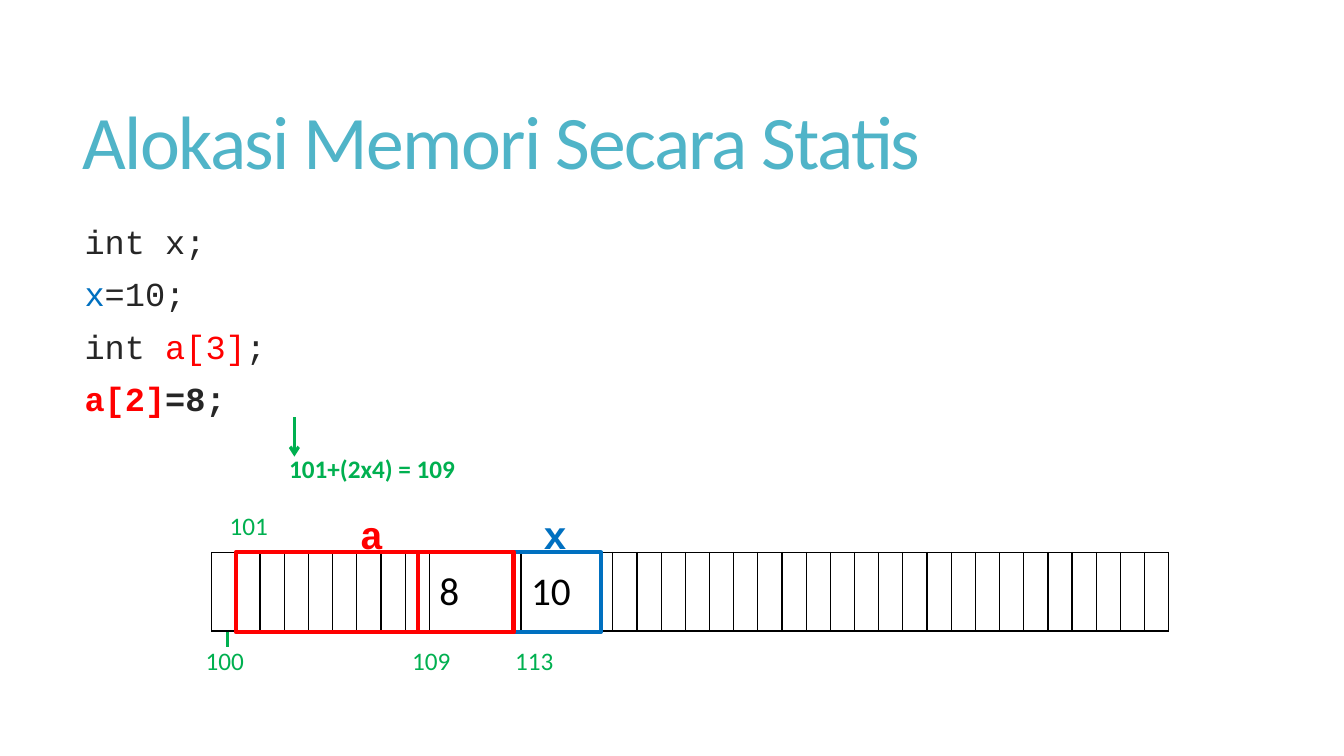
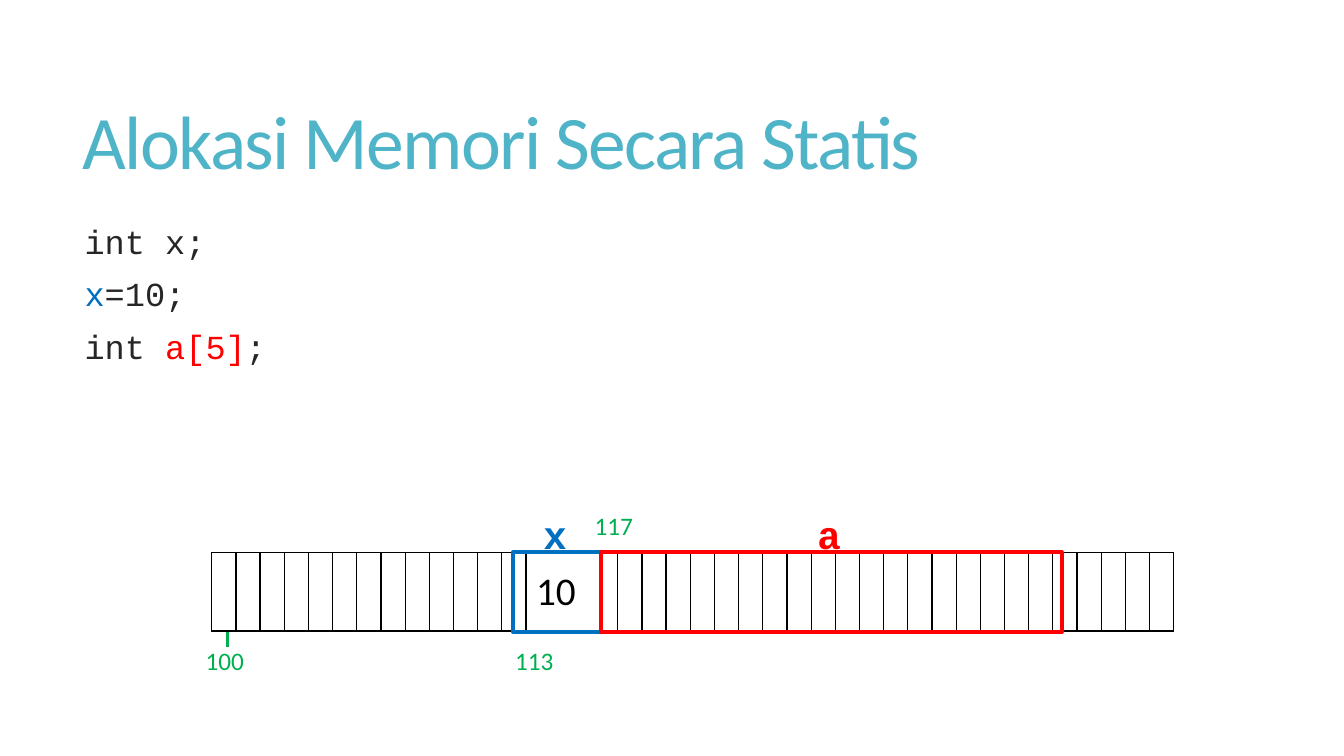
from pptx import Presentation
from pptx.dml.color import RGBColor
from pptx.enum.shapes import MSO_CONNECTOR as Connector, MSO_SHAPE as Shape
from pptx.enum.text import MSO_ANCHOR as Anchor, MSO_AUTO_SIZE as AutoSize, PP_ALIGN as Align
from pptx.oxml import parse_xml
from pptx.oxml.ns import nsdecls
from pptx.util import Inches, Pt

color = RGBColor.from_string
TEAL, DARK, BLACK = "50B4C8", "262626", "000000"
RED, BLUE, GREEN = "FF0000", "0070C0", "00B050"
TITLE = "Alokasi Memori Secara Statis"
CELL, VALUE_CELL = 0.24, 0.91
ROW_TOP, ROW_HEIGHT = 5.48, 0.78
LABEL_TOP, ADDRESS_TOP = 5.01, 6.35


def write_text(frame, lines, size, font="Calibri", bold=False, anchor=Anchor.TOP,
               wrap=False, spacing=None, before=None):
    """Each line is a list of (text, colour) runs."""
    frame.word_wrap = wrap
    frame.auto_size = AutoSize.NONE if wrap else AutoSize.SHAPE_TO_FIT_TEXT
    frame.vertical_anchor = anchor
    for number, runs in enumerate(lines):
        paragraph = frame.add_paragraph() if number else frame.paragraphs[0]
        paragraph.alignment = Align.LEFT
        if spacing:
            paragraph.line_spacing = spacing
        if before:
            paragraph.space_before = Pt(before)
        for text, text_color in runs:
            run = paragraph.add_run()
            run.text = text
            run.font.name, run.font.size, run.font.bold = font, Pt(size), bold
            run.font.color.rgb = color(text_color)


def add_line(slide, x, top, bottom, arrow=False):
    line = slide.shapes.add_connector(
        Connector.STRAIGHT, Inches(x), Inches(top), Inches(x), Inches(bottom))
    line.line.color.rgb = color(GREEN)
    line.line.width = Pt(2.25)
    if arrow:
        line.line._get_or_add_ln().append(
            parse_xml(f'<a:tailEnd {nsdecls("a")} type="arrow"/>'))
    line._element.spPr.append(parse_xml(f'<a:effectLst {nsdecls("a")}/>'))


# What differs between the slides
declaration = [[("int x;", DARK)], [("x", BLUE), ("=10;", DARK)]]
slides = [
    dict(code=declaration + [[("int ", DARK), ("a[3]", RED), (";", DARK)]],
         assignment=[("a[2]", RED), ("=8;", DARK)],
         columns=34, values={9: "8", 10: "10"},
         blocks=[(5.09, 0.87, BLUE), (2.34, 2.76, RED), (4.15, 0.94, RED)],
         names=[("x", 5.29, BLUE), ("a", 3.47, RED)],
         addresses=[("100", 1.94, ADDRESS_TOP), ("113", 5.01, ADDRESS_TOP),
                    ("101", 2.18, LABEL_TOP), ("109", 3.99, ADDRESS_TOP)]),
    dict(code=declaration + [[("int ", DARK), ("a[5]", RED), (";", DARK)]],
         assignment=None,
         columns=37, values={13: "10"},
         blocks=[(5.09, 0.87, BLUE), (5.96, 4.57, RED)],
         names=[("x", 5.29, BLUE), ("a", 8.01, RED)],
         addresses=[("100", 1.94, ADDRESS_TOP), ("113", 5.01, ADDRESS_TOP),
                    ("117", 5.8, LABEL_TOP)]),
]

presentation = Presentation()
presentation.slide_width, presentation.slide_height = Inches(13.33), Inches(7.5)

for content in slides:
    slide = presentation.slides.add_slide(presentation.slide_layouts[5])
    shapes = slide.shapes

    # Title
    title = shapes.title
    title.left, title.top = Inches(0.72), Inches(0.55)
    title.width, title.height = Inches(11.78), Inches(1.81)
    write_text(title.text_frame, [[(TITLE, TEAL)]], 54,
               anchor=Anchor.MIDDLE, wrap=True, spacing=0.85)
    title.text_frame.paragraphs[0].runs[0].font._element.set("spc", "-120")

    # Code
    code = shapes.add_textbox(Inches(0.74), Inches(2.2), Inches(11.76), Inches(4.12))
    assignment = content["assignment"]
    lines = content["code"] + ([assignment] if assignment else [])
    write_text(code.text_frame, lines, 24, font="Courier New",
               wrap=True, spacing=0.85, before=13)

    # Address calculation for the assignment
    if assignment:
        for run in code.text_frame.paragraphs[-1].runs:
            run.font.bold = True
        note = shapes.add_textbox(Inches(2.77), Inches(4.45), Inches(1.87), Inches(0.4))
        write_text(note.text_frame, [[("101+(2x4) = 109", GREEN)]], 18, bold=True)
        add_line(slide, 2.92, 4.14, 4.53, arrow=True)

    # Memory row
    columns, values = content["columns"], content["values"]
    widths = [VALUE_CELL if index in values else CELL for index in range(columns)]
    memory = shapes.add_table(1, columns, Inches(2.1), Inches(ROW_TOP),
                              Inches(sum(widths)), Inches(ROW_HEIGHT)).table
    memory.first_row = memory.horz_banding = False
    for index, width in enumerate(widths):
        memory.columns[index].width = Inches(width)
        cell = memory.cell(0, index)
        properties = cell._tc.get_or_add_tcPr()
        for side in ("lnL", "lnR", "lnT", "lnB"):
            properties.append(parse_xml(
                f'<a:{side} {nsdecls("a")} w="12700"><a:solidFill>'
                f'<a:srgbClr val="{BLACK}"/></a:solidFill></a:{side}>'))
        cell.fill.background()
        if index in values:
            write_text(cell.text_frame, [[(values[index], BLACK)]], 28, wrap=True)
            cell.vertical_anchor = Anchor.MIDDLE

    # Outlines of the variables
    for left, width, outline in content["blocks"]:
        block = shapes.add_shape(Shape.RECTANGLE, Inches(left), Inches(ROW_TOP),
                                 Inches(width), Inches(0.79))
        block.shadow.inherit = False
        block.fill.background()
        block.line.color.rgb = color(outline)
        block.line.width = Pt(3)

    # Variable names and addresses
    for name, left, name_color in content["names"]:
        label = shapes.add_textbox(Inches(left), Inches(LABEL_TOP), Inches(0.44), Inches(0.57))
        write_text(label.text_frame, [[(name, name_color)]], 28, font="Courier New", bold=True)
    for address, left, top in content["addresses"]:
        label = shapes.add_textbox(Inches(left), Inches(top), Inches(0.59), Inches(0.4))
        write_text(label.text_frame, [[(address, GREEN)]], 18)
    add_line(slide, 2.26, 6.27, 6.42)

presentation.save("out.pptx")
